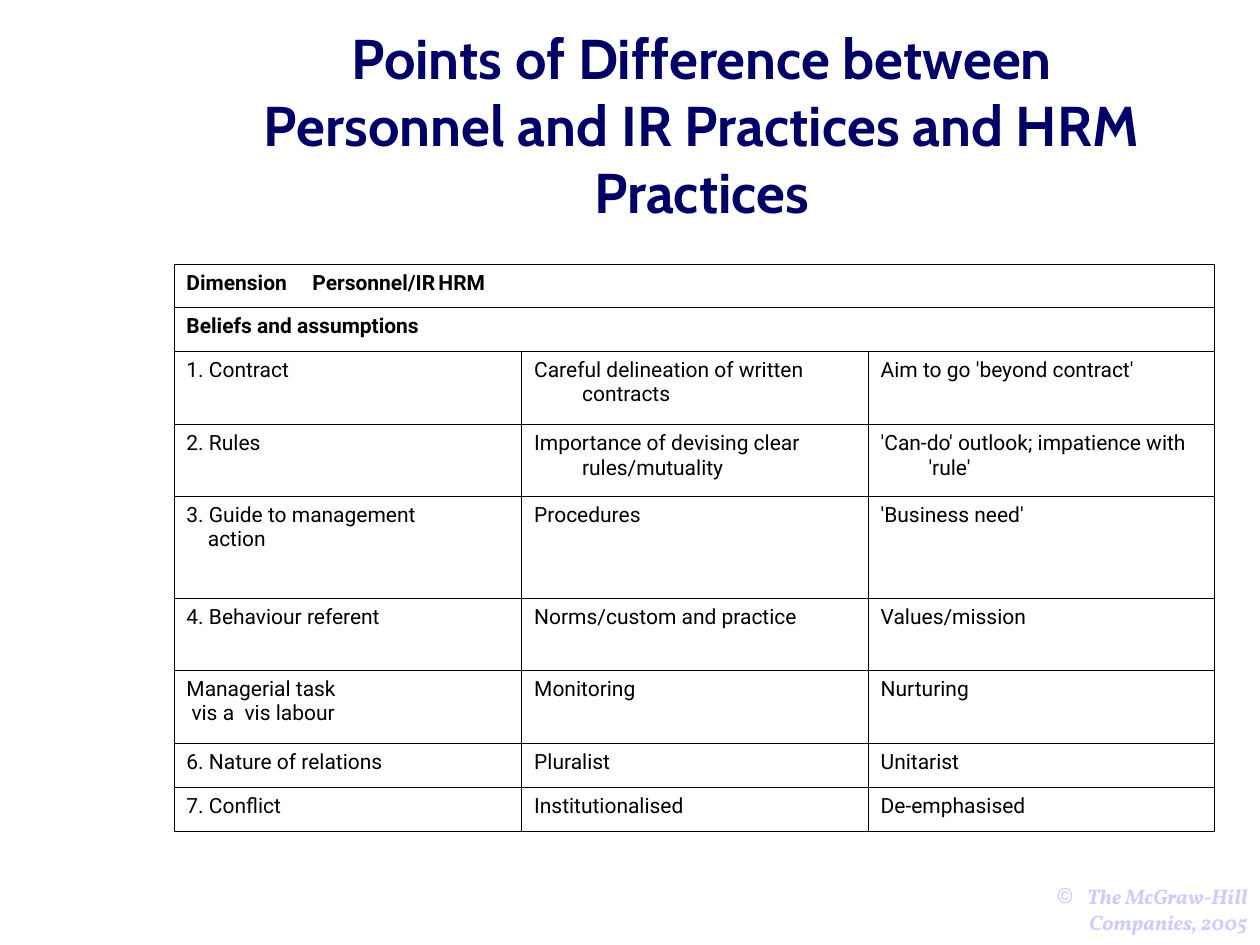
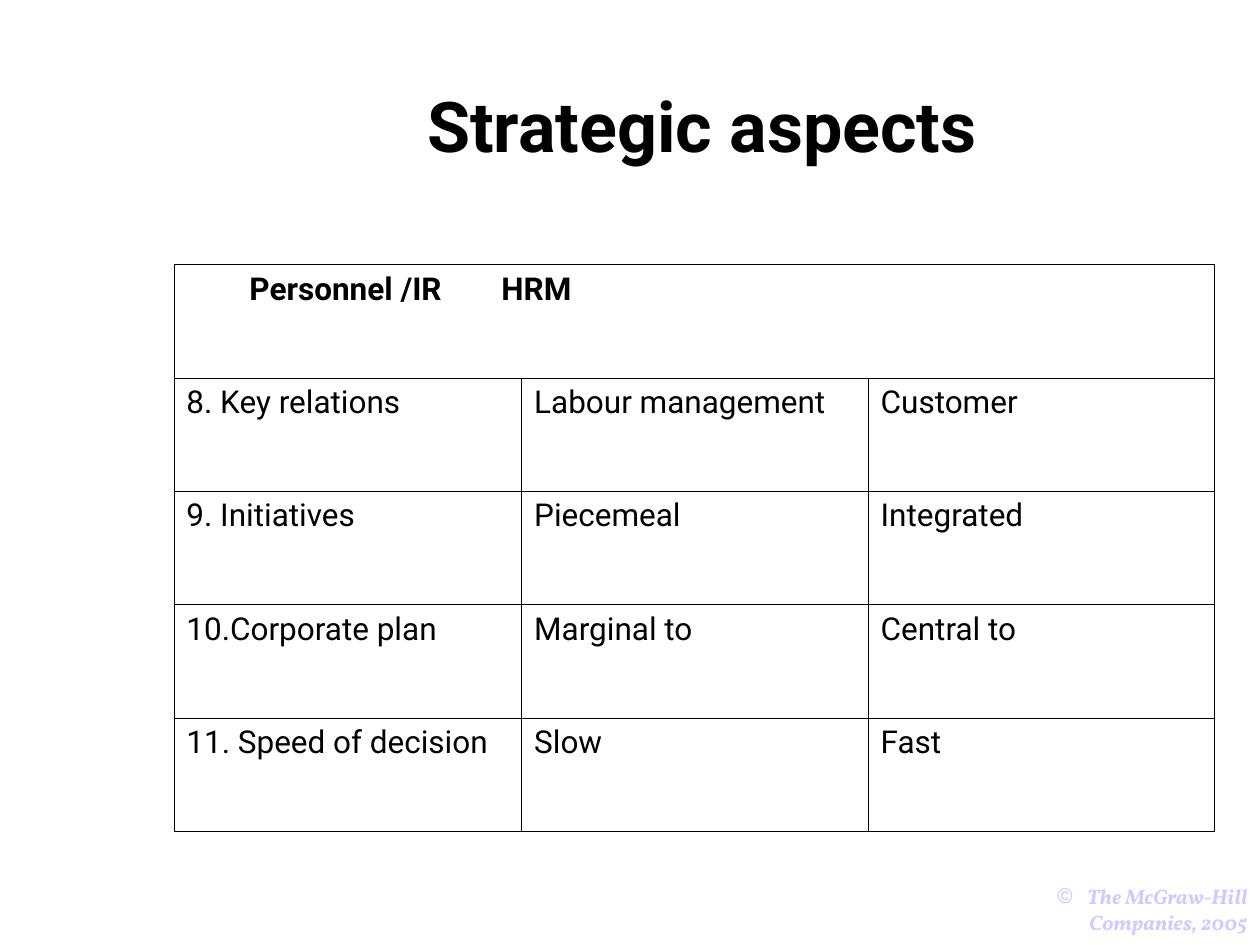
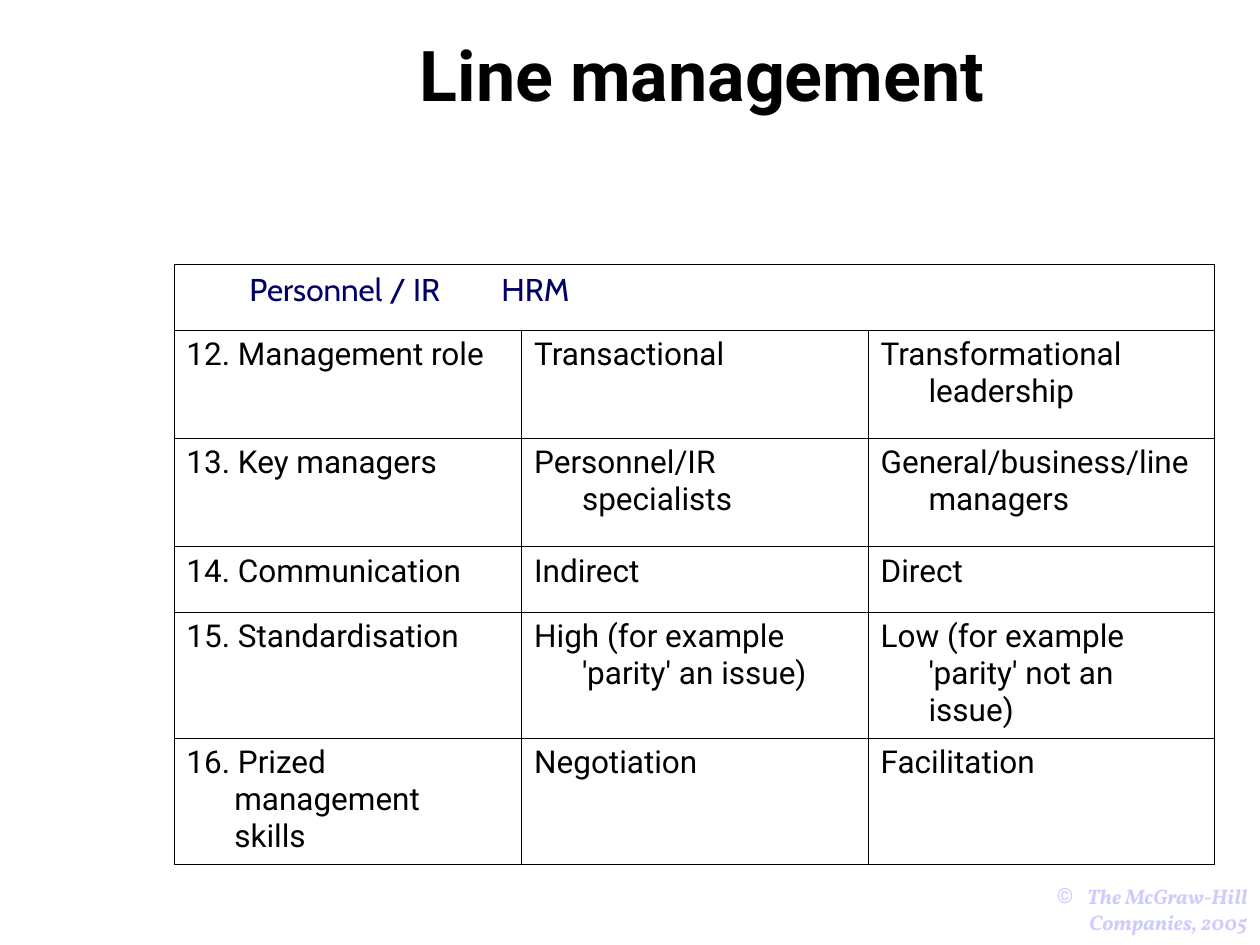
"""Build three slides that compare personnel and IR practice with HRM."""
from dataclasses import dataclass, replace
from typing import NamedTuple

from lxml.etree import SubElement as Sub
from pptx import Presentation
from pptx.dml.color import RGBColor
from pptx.enum.text import MSO_ANCHOR as Anchor, MSO_AUTO_SIZE as Fit, PP_ALIGN as Align
from pptx.oxml.ns import qn
from pptx.util import Emu, Pt

PX = 9144
NAVY = RGBColor(0x00, 0x00, 0x66)
BLACK = RGBColor(0x00, 0x00, 0x00)
LILAC = RGBColor(0xCC, 0xCC, 0xFF)
WHITE = RGBColor(0xFF, 0xFF, 0xFF)
HANG = 38
COLS = (276, 275, 275)
LEFT, TOP = 138, 210
EDGE = 5715


class Box(NamedTuple):
    left: int
    top: int
    width: int
    height: int


class Split(NamedTuple):
    first: str
    second: str
    dent: int


@dataclass(frozen=True)
class Style:
    size: int
    font: str = "Roboto"
    color: RGBColor = BLACK
    bold: bool = False
    italic: bool = False


@dataclass(frozen=True)
class Page:
    title: str
    look: Style
    head: Style
    tabs: tuple[int, int]
    rows: tuple[tuple[str | Split, ...], ...]
    highs: tuple[int, ...]
    box: Box = Box(169, 36, 776, 125)
    foot: int = 5


BIG = Style(40, bold=True)
PAGES = (
    Page(
        "Points of Difference between Personnel and IR Practices and HRM Practices",
        Style(32, "Cabin", NAVY, True), Style(12, bold=True), (281, 557),
        (
            ("Dimension\tPersonnel/IR\tHRM",),
            ("Beliefs and assumptions",),
            ("1. Contract", "Careful delineation of written contracts",
             "Aim to go 'beyond contract'"),
            ("2. Rules", "Importance of devising clear rules/mutuality",
             "'Can-do' outlook; impatience with 'rule'"),
            (Split("3. Guide to management", "action", 17), "Procedures",
             "'Business need'"),
            ("4. Behaviour referent", "Norms/custom and practice", "Values/mission"),
            (Split("Managerial task", "vis a  vis labour", 4), "Monitoring", "Nurturing"),
            ("6. Nature of relations", "Pluralist", "Unitarist"),
            ("7. Conflict", "Institutionalised", "De-emphasised"),
        ),
        (34, 35, 58, 57, 81, 57, 58, 35, 35),
    ),
    Page(
        "Strategic aspects", BIG, Style(18, bold=True), (267, 557),
        (
            ("\tPersonnel /IR\tHRM",),
            ("8. Key relations", "Labour management", "Customer"),
            ("9. Initiatives", "Piecemeal", "Integrated"),
            ("10.Corporate plan", "Marginal to", "Central to"),
            ("11. Speed of decision", "Slow", "Fast"),
        ),
        (90,) * 5,
    ),
    Page(
        "Line management", BIG, Style(18, "Cabin", NAVY), (241, 516),
        (
            ("\tPersonnel / IR\tHRM",),
            ("12. Management role", "Transactional", "Transformational leadership"),
            ("13. Key managers", "Personnel/IR specialists",
             "General/business/line managers"),
            ("14. Communication", "Indirect", "Direct"),
            ("15. Standardisation", "High (for example 'parity' an issue)",
             "Low (for example 'parity' not an issue)"),
            (Split("16. Prized management", "skills", HANG), "Negotiation",
             "Facilitation"),
        ),
        (52, 86, 86, 52, 100, 100),
        Box(169, 51, 776, 79), 70,
    ),
)


def px(num: int) -> Emu:
    """Turn px into EMU."""
    return Emu(num * PX)


def place(shape, box: Box) -> None:
    """Move and size a shape."""
    shape.left, shape.top, shape.width, shape.height = map(px, box)


def put(para, text: str, *, style: Style, align=Align.LEFT, left: int = 0,
        dent: int = 0, tabs: tuple[int, ...] = (), mark: str = "") -> None:
    """Write text in a paragraph with its format."""
    props = para._p.get_or_add_pPr()
    props.set("marL", str(px(left)))
    props.set("indent", str(px(dent)))
    if mark:
        tint = Sub(props, qn("a:buClr"))
        Sub(tint, qn("a:srgbClr"), val=str(style.color))
        Sub(props, qn("a:buFont"), typeface="Roboto")
        Sub(props, qn("a:buChar"), char=mark)
    if tabs:
        stops = Sub(props, qn("a:tabLst"))
        for pos in tabs:
            Sub(stops, qn("a:tab"), pos=str(px(pos)), algn="l")
    para.alignment = align
    run = para.add_run()
    run.text = text
    font = run.font
    font.size, font.name = Pt(style.size), style.font
    font.bold, font.italic = style.bold, style.italic
    font.color.rgb = style.color


def rule(cell) -> None:
    """Clear a cell's fill and draw its four borders."""
    props = cell._tc.get_or_add_tcPr()
    for side in ("lnL", "lnR", "lnT", "lnB"):
        line = Sub(props, qn(f"a:{side}"), w=str(EDGE))
        fill = Sub(line, qn("a:solidFill"))
        Sub(fill, qn("a:srgbClr"), val=str(BLACK))
    cell.fill.background()


def fill(cell, item: str | Split, style: Style) -> None:
    """Write one body cell."""
    frame = cell.text_frame
    text = item.first if isinstance(item, Split) else item
    put(frame.paragraphs[0], text, style=style, left=HANG, dent=-HANG)
    if isinstance(item, Split):
        put(frame.add_paragraph(), item.second, style=style, left=item.dent)


def grid(slide, page: Page) -> None:
    """Draw the table of a page."""
    spot = map(px, (LEFT, TOP, sum(COLS), sum(page.highs)))
    table = slide.shapes.add_table(len(page.rows), len(COLS), *spot).table
    table.first_row = table.horz_banding = False
    for col, width in zip(table.columns, COLS):
        col.width = px(width)
    body = replace(page.head, font="Roboto", color=BLACK, bold=False)
    for num, (row, high) in enumerate(zip(page.rows, page.highs)):
        table.rows[num].height = px(high)
        cells = [table.cell(num, col) for col in range(len(COLS))]
        for cell in cells:
            rule(cell)
        if len(row) == 1:
            cells[0].merge(cells[-1])
            para = cells[0].text_frame.paragraphs[0]
            put(para, row[0], style=page.head, tabs=page.tabs)
        else:
            for cell, item in zip(cells, row):
                fill(cell, item, body)


def head(slide, page: Page) -> None:
    """Place and write the title."""
    title = slide.shapes.title
    place(title, page.box)
    frame = title.text_frame
    frame.auto_size, frame.word_wrap = Fit.NONE, True
    frame.vertical_anchor = Anchor.MIDDLE
    frame.margin_bottom = px(page.foot)
    put(frame.paragraphs[0], page.title, style=page.look, align=Align.CENTER)


def sign(slide, layout) -> None:
    """Put the copyright line on the shared layout."""
    box = slide.shapes.add_textbox(*map(px, Box(800, 709, 200, 25)))
    frame = box.text_frame
    frame.word_wrap = False
    frame.vertical_anchor = Anchor.MIDDLE
    put(frame.paragraphs[0], "The McGraw-Hill Companies, 2005",
        style=Style(12, "Vollkorn", LILAC, True, True), align=Align.RIGHT,
        left=24, dent=-24, mark="©")
    layout.shapes.element.append(box.element)


def main() -> None:
    """Build and save the deck."""
    deck = Presentation()
    deck.slide_width, deck.slide_height = px(1000), px(750)
    back = deck.slide_master.background.fill
    back.solid()
    back.fore_color.rgb = WHITE
    layout = deck.slide_layouts[5]
    for num, page in enumerate(PAGES):
        slide = deck.slides.add_slide(layout)
        if num == 0:
            sign(slide, layout)
        head(slide, page)
        grid(slide, page)
    deck.save("out.pptx")


if __name__ == "__main__":
    main()
